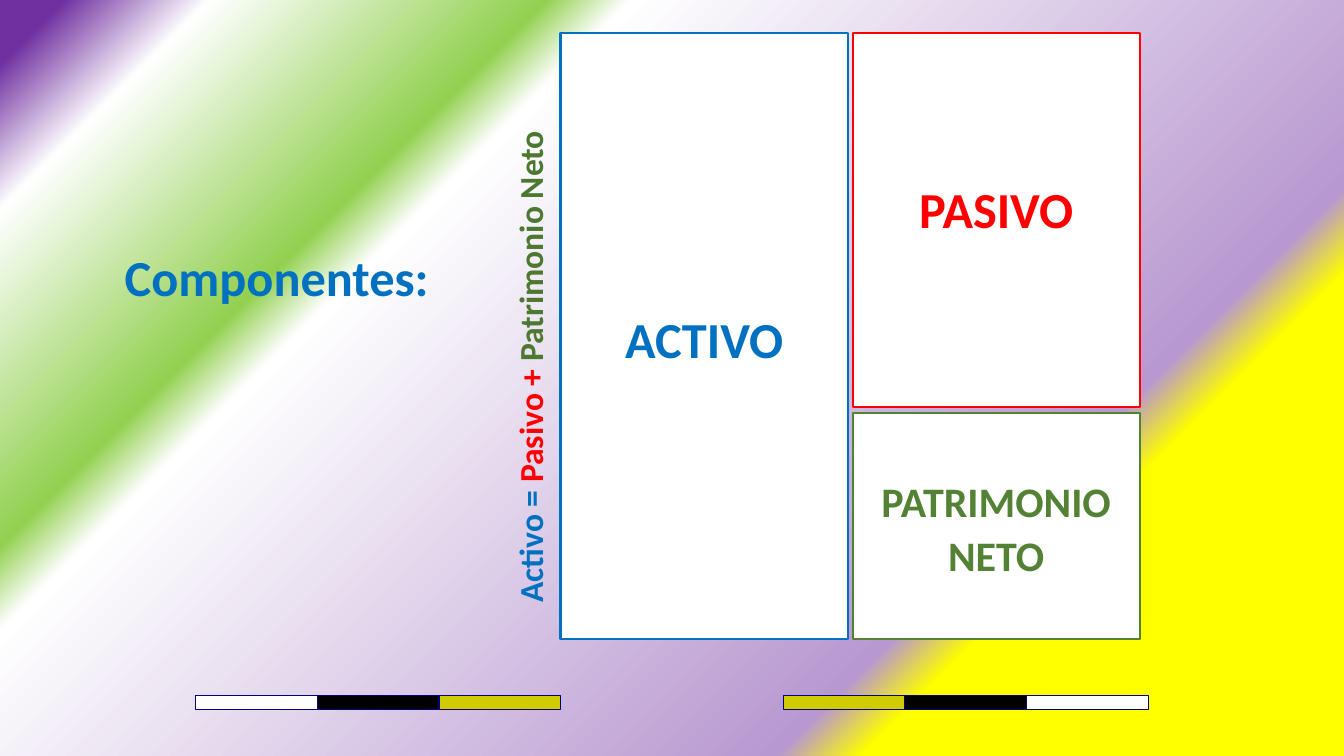
import pptx
import pptx.enum.shapes
import pptx.enum.text
import pptx.oxml
import pptx.oxml.ns
import pptx.util
from pptx.dml.color import RGBColor
from pptx.util import Pt

COLORS = {
    "asset": "0070C0", "liability": "FF0000", "equity": "548235", "equity_term": "4D7830",
    "white": "FFFFFF", "black": "000000", "gold": "D1CC00", "navy": "000080",
    "yellow": "FFFF00", "lilac": "B898D0", "lime": "92D050", "purple": "7030A0",
}
BACKGROUND_STOPS = [(23, "yellow"), (27, "lilac"), (70, "white"),
                    (74, "lime"), (90, "white"), (97, "purple")]
RECTANGLE = pptx.enum.shapes.MSO_SHAPE.RECTANGLE


def rgb(name):
    return RGBColor.from_string(COLORS[name])


def style_font(font, size, color):
    font.name = "Calibri"
    font.size = Pt(size)
    font.bold = True
    font.color.rgb = rgb(color)


def add_background(slide):
    slide.background.fill.solid()
    properties = slide.element.find(".//" + pptx.oxml.ns.qn("p:bgPr"))
    stops = "".join(f'<a:gs pos="{pos * 1000}"><a:srgbClr val="{COLORS[color]}"/></a:gs>'
                    for pos, color in BACKGROUND_STOPS)
    gradient = pptx.oxml.parse_xml(
        f'<a:gradFill {pptx.oxml.ns.nsdecls("a")} rotWithShape="1"><a:gsLst>{stops}</a:gsLst>'
        '<a:path path="circle"><a:fillToRect l="100000" t="100000"/></a:path></a:gradFill>')
    properties.replace(properties[0], gradient)


def add_rectangle(shapes, box, fill, line, line_width):
    rectangle = shapes.add_shape(RECTANGLE, *(Pt(length) for length in box))
    rectangle.shadow.inherit = False
    rectangle.fill.solid()
    rectangle.fill.fore_color.rgb = rgb(fill)
    rectangle.line.color.rgb = rgb(line)
    rectangle.line.width = Pt(line_width)
    return rectangle


def add_color_bar(slide, box, colors):
    left, top, width, height = box
    bar = slide.shapes.add_group_shape()
    segment = width / len(colors)
    for index, color in enumerate(colors):
        add_rectangle(bar.shapes, (left + index * segment, top, segment, height),
                      color, "navy", 0.75)


def add_heading(slide, box):
    heading = slide.shapes.add_textbox(*(Pt(length) for length in box))
    heading.text_frame.word_wrap = True
    paragraph = heading.text_frame.paragraphs[0]
    paragraph.text = "Componentes:"
    style_font(paragraph.font, 36, "asset")


def add_component(slide, box, label, size, color, bottom_inset=3.6):
    component = add_rectangle(slide.shapes, box, "white", color, 1.5)
    frame = component.text_frame
    frame.word_wrap = True
    frame.vertical_anchor = pptx.enum.text.MSO_ANCHOR.MIDDLE
    frame.margin_bottom = Pt(bottom_inset)
    paragraph = frame.paragraphs[0]
    paragraph.text = label
    paragraph.alignment = pptx.enum.text.PP_ALIGN.CENTER
    paragraph.line_spacing = 1.07
    paragraph.space_after = Pt(8)
    style_font(paragraph.font, size, color)


def add_balance(slide, box):
    left, top, width, height = box
    column, gap = 205.2, 4.3
    right = left + width - column
    liability_height = 267.1
    equity_top = top + liability_height + gap
    add_component(slide, (left, top, column, height), "ACTIVO", 36, "asset")
    add_component(slide, (right, top, column, liability_height), "PASIVO", 36, "liability",
                  bottom_inset=24)
    add_component(slide, (right, equity_top, column, top + height - equity_top),
                  "PATRIMONIO NETO", 30, "equity")


def add_equation(slide, box):
    """Write the accounting equation upwards inside the given upright box."""
    left, top, width, height = box
    equation = slide.shapes.add_textbox(Pt(left + (width - height) / 2),
                                        Pt(top + (height - width) / 2),
                                        Pt(height), Pt(width))
    equation.rotation = 270
    equation.text_frame.word_wrap = True
    paragraph = equation.text_frame.paragraphs[0]
    paragraph._p.get_or_add_pPr().set("indent", str(Pt(42.5)))
    for term, color in [("Activo = ", "asset"), ("Pasivo + ", "liability"),
                        ("Patrimonio Neto", "equity_term")]:
        run = paragraph.add_run()
        run.text = term
        style_font(run.font, 24, color)


def main():
    presentation = pptx.Presentation()
    presentation.slide_width, presentation.slide_height = Pt(960), Pt(540)
    slide = presentation.slides.add_slide(presentation.slide_layouts[6])
    add_background(slide)

    # Colour bars along the bottom
    bar_colors = ["white", "black", "gold"]
    add_color_bar(slide, (139.6, 496.6, 261, 10.4), bar_colors)
    add_color_bar(slide, (559.4, 496.6, 261, 10.4), bar_colors[::-1])

    # Heading, balance sheet and equation
    add_heading(slide, (82, 172.1, 245.5, 51.1))
    add_balance(slide, (400.4, 23.7, 413.8, 432.7))
    add_equation(slide, (360.4, 11.2, 36, 468.7))
    presentation.save("out.pptx")


if __name__ == "__main__":
    main()
